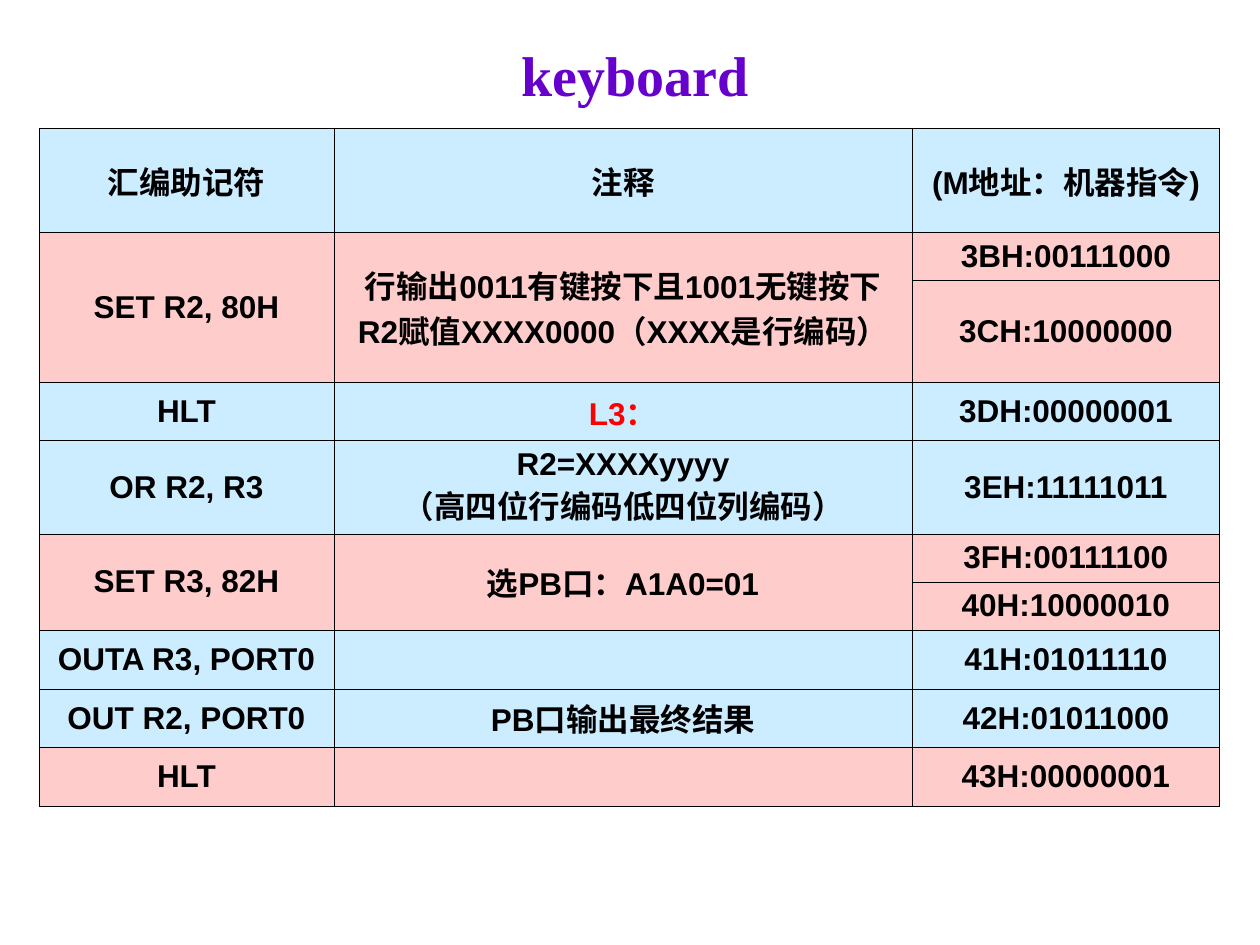
from dataclasses import dataclass
from lxml.etree import SubElement as Sub
from pptx import Presentation as Deck
from pptx.dml.color import RGBColor as RGB
from pptx.enum.text import MSO_ANCHOR as Anchor, PP_ALIGN as Align
from pptx.oxml.ns import qn
from pptx.util import Emu, Inches, Pt


@dataclass(frozen=True)
class Theme:
    """Colours, fonts and sizes of the slide."""
    blue: str = "CCECFF"
    pink: str = "FFCCCC"
    black: str = "000000"
    red: str = "FF0000"
    purple: str = "6600CC"
    head: str = "Times New Roman"
    body: str = "Arial"
    big: float = 32
    small: float = 18
    rule: float = 0.45
    hang: float = 0.38


T = Theme()
COLS = (2.34, 4.59, 2.44)
ROWS = (
    (T.blue, "汇编助记符", ["注释"], [("(M地址：机器指令)", 0.82)]),
    (T.pink, "SET R2, 80H",
     ["行输出0011有键按下且1001无键按下", "R2赋值XXXX0000（XXXX是行编码）"],
     [("3BH:00111000", 0.38), ("3CH:10000000", 0.81)]),
    (T.blue, "HLT", ["L3："], [("3DH:00000001", 0.46)]),
    (T.blue, "OR R2, R3", ["R2=XXXXyyyy", "（高四位行编码低四位列编码）"],
     [("3EH:11111011", 0.74)]),
    (T.pink, "SET R3, 82H", ["选PB口：A1A0=01"],
     [("3FH:00111100", 0.38), ("40H:10000010", 0.38)]),
    (T.blue, "OUTA R3, PORT0", [], [("41H:01011110", 0.47)]),
    (T.blue, "OUT R2, PORT0", ["PB口输出最终结果"], [("42H:01011000", 0.46)]),
    (T.pink, "HLT", [], [("43H:00000001", 0.47)]),
)


def style(para, text, face, size, color):
    """Write one centred bold paragraph."""
    para.text = text
    para.alignment = Align.CENTER
    font = para.font
    font.name, font.size, font.bold = face, Pt(size), True
    font.color.rgb = RGB.from_string(color)


def frame(cell, fill):
    """Fill a cell and rule its four sides."""
    props = cell._tc.get_or_add_tcPr()
    for side in ("a:lnL", "a:lnR", "a:lnT", "a:lnB"):
        line = Sub(props, qn(side), w=str(Pt(T.rule)))
        Sub(Sub(line, qn("a:solidFill")), qn("a:srgbClr"), val=T.black)
    cell.fill.solid()
    cell.fill.fore_color.rgb = RGB.from_string(fill)
    cell.vertical_anchor = Anchor.MIDDLE


def write(cell, lines):
    """Put lines with a hanging indent into a cell."""
    text = cell.text_frame
    for i, line in enumerate(lines):
        para = text.add_paragraph() if i else text.paragraphs[0]
        props = para._p.get_or_add_pPr()
        props.set("marL", str(Inches(T.hang)))
        props.set("indent", str(-Inches(T.hang)))
        color = T.red if line == "L3：" else T.black
        style(para, line, T.body, T.small, color)


def title(slide, box, text):
    """Place the heading in its box."""
    area = slide.shapes.add_textbox(*box).text_frame
    area.word_wrap = True
    area.vertical_anchor = Anchor.MIDDLE
    style(area.paragraphs[0], text, T.head, T.big, T.purple)


def listing(slide, box, groups):
    """Place the program table, one group per instruction."""
    codes = [code for group in groups for code in group[3]]
    grid = slide.shapes.add_table(len(codes), len(COLS), *box).table
    for col, share in zip(grid.columns, COLS):
        col.width = Emu(int(box[2] * share / sum(COLS)))
    high = sum(size for _, size in codes)
    for row, (_, size) in zip(grid.rows, codes):
        row.height = Emu(int(box[3] * size / high))
    top = 0
    for fill, name, notes, parts in groups:
        for i, (code, _) in enumerate(parts, top):
            for j in range(len(COLS)):
                frame(grid.cell(i, j), fill)
            write(grid.cell(i, 2), [code])
        last = top + len(parts) - 1
        for j, lines in enumerate(([name], notes)):
            if last > top:
                grid.cell(top, j).merge(grid.cell(last, j))
            write(grid.cell(top, j), lines)
        top = last + 1


def main():
    """Build and save the deck."""
    deck = Deck()
    deck.slide_width, deck.slide_height = Inches(10), Inches(7.5)
    wide, high = deck.slide_width, deck.slide_height
    slide = deck.slides.add_slide(deck.slide_layouts[6])

    def box(x, y, w, h):
        """Turn percent shares of the slide into lengths."""
        return [Emu(int(part * full / 100))
                for part, full in zip((x, y, w, h), (wide, high, wide, high))]

    listing(slide, box(3.1, 13.6, 93.7, 71.6), ROWS)
    title(slide, box(3.9, 4.13, 93, 7.33), "keyboard")
    deck.save("out.pptx")


if __name__ == "__main__":
    main()
